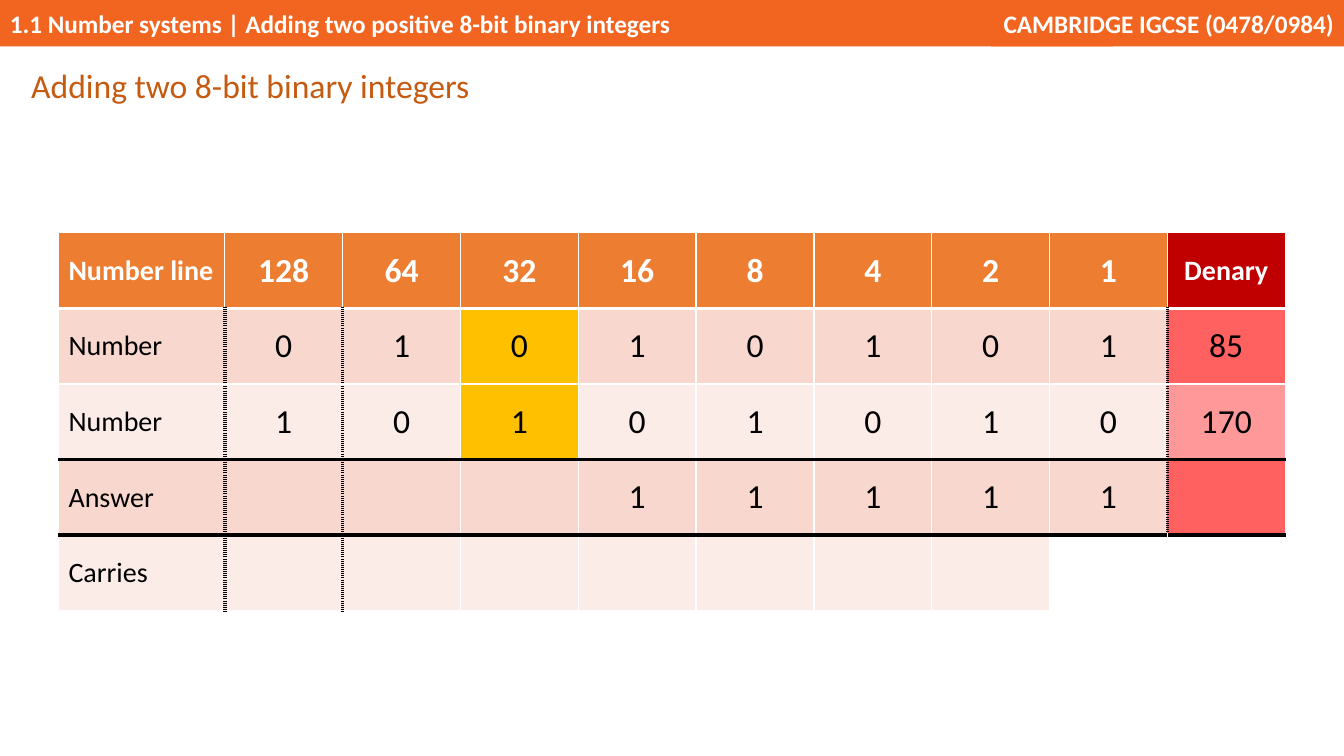
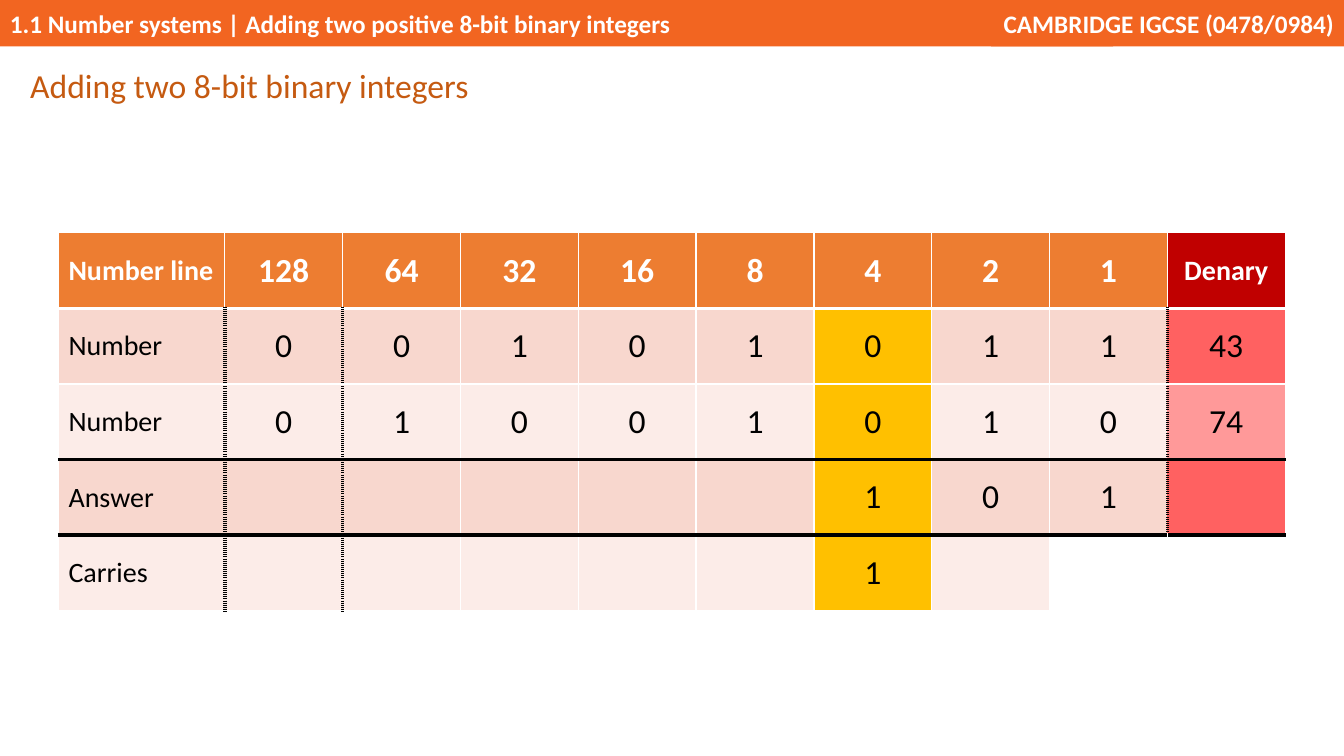
"""Build two slides that add 8-bit binary integers column by column."""
from dataclasses import dataclass

from lxml import etree
from pptx import Presentation
from pptx.dml.color import RGBColor
from pptx.enum.shapes import MSO_SHAPE
from pptx.enum.text import MSO_ANCHOR, MSO_AUTO_SIZE, PP_ALIGN
from pptx.oxml.ns import qn
from pptx.util import Inches, Pt

RECTANGLE = MSO_SHAPE.RECTANGLE
TOP, MIDDLE = MSO_ANCHOR.TOP, MSO_ANCHOR.MIDDLE
NO_AUTO_SIZE = MSO_AUTO_SIZE.NONE
LEFT, CENTER, RIGHT = PP_ALIGN.LEFT, PP_ALIGN.CENTER, PP_ALIGN.RIGHT

WHITE = RGBColor(0xFF, 0xFF, 0xFF)
BLACK = RGBColor(0x00, 0x00, 0x00)
BAND_ORANGE = RGBColor(0xF2, 0x65, 0x21)
TITLE_BROWN = RGBColor(0xC5, 0x5A, 0x11)
HEADER_ORANGE = RGBColor(0xED, 0x7D, 0x31)
HIGHLIGHT = RGBColor(0xFF, 0xC0, 0x00)
ROW_FILLS = (HEADER_ORANGE,) + (RGBColor(0xF8, 0xD7, 0xCE), RGBColor(0xFC, 0xEC, 0xE8)) * 2
DENARY_RED = RGBColor(0xFF, 0x61, 0x61)
DENARY_FILLS = (RGBColor(0xC0, 0x00, 0x00), DENARY_RED, RGBColor(0xFF, 0x99, 0x99), DENARY_RED, WHITE)

FONT = "Calibri"
TITLE = "Adding two 8-bit binary integers"
PLACES = [2 ** power for power in range(7, -1, -1)]
UNITS_COLUMN = len(PLACES)
DENARY_COLUMN = UNITS_COLUMN + 1
COLUMN_COUNT = DENARY_COLUMN + 1
CARRIES_ROW = 4
TABLE_WIDTH, LABEL_WIDTH, ROW_HEIGHT = 12.17, 1.65, 0.75


@dataclass(frozen=True)
class Band:
    """One part of the strip across the top."""
    left: float
    width: float
    text: str
    alignment: PP_ALIGN


@dataclass(frozen=True)
class Addition:
    """One step of a binary addition."""
    first: str
    second: str
    answer: str
    active_place: int
    carry: str = ""
    title_left: float = 0.2

    def rows(self) -> list[list[str]]:
        """Return the table text, row by row."""
        carries = [self.carry if place == self.active_place else "" for place in PLACES]
        answer = [digit.strip() for digit in self.answer.rjust(len(PLACES))]
        return [
            ["Number line", *map(str, PLACES), "Denary"],
            ["Number", *self.first, str(int(self.first, 2))],
            ["Number", *self.second, str(int(self.second, 2))],
            ["Answer", *answer, ""],
            ["Carries", *carries, ""],
        ]


@dataclass(frozen=True)
class Edge:
    """The look of a cell border."""
    color: RGBColor
    width: float
    dash: str = "solid"


THIN = Edge(WHITE, 1)
THICK = Edge(WHITE, 3)
RULE = Edge(BLACK, 3)
DOTTED = Edge(BLACK, 3, "sysDot")
HORIZONTAL_EDGES = (THIN, THICK, THIN, RULE, RULE, THIN)

BANDS = (
    Band(0, 11.04, "1.1 Number systems | Adding two positive 8-bit binary integers", LEFT),
    Band(9.83, 3.5, "CAMBRIDGE IGCSE (0478/0984)", RIGHT),
)
ADDITIONS = (
    Addition("01010101", "10101010", "11111", active_place=32, title_left=0.21),
    Addition("00101011", "01001010", "101", active_place=4, carry="1"),
)


def write_text(text_frame, text: str, *, size: float, color: RGBColor,
               bold: bool = False, alignment: PP_ALIGN = LEFT):
    """Write one formatted paragraph and return it."""
    paragraph = text_frame.paragraphs[0]
    paragraph.alignment = alignment
    run = paragraph.add_run()
    run.text = text
    run.font.name = FONT
    run.font.size = Pt(size)
    run.font.bold = bold
    run.font.color.rgb = color
    return paragraph


def add_band(slide, band: Band) -> None:
    """Draw one part of the top strip."""
    shape = slide.shapes.add_shape(
        RECTANGLE, Inches(band.left), 0, Inches(band.width), Inches(0.46))
    shape.shadow.inherit = False
    shape.fill.solid()
    shape.fill.fore_color.rgb = BAND_ORANGE
    shape.line.fill.background()
    shape.text_frame.word_wrap = True
    shape.text_frame.vertical_anchor = MIDDLE
    write_text(shape.text_frame, band.text, size=18, color=WHITE, bold=True,
               alignment=band.alignment)


def set_title(slide, left: float) -> None:
    """Place and format the slide title."""
    title = slide.shapes.title
    title.left, title.top = Inches(left), Inches(0.57)
    title.width, title.height = Inches(4.8), Inches(0.51)
    text_frame = title.text_frame
    text_frame.word_wrap = True
    text_frame.auto_size = NO_AUTO_SIZE
    text_frame.vertical_anchor = TOP
    paragraph = write_text(text_frame, TITLE, size=24, color=TITLE_BROWN)
    paragraph.line_spacing = 1.07
    paragraph.space_after = Pt(8)


def vertical_edge(row: int, boundary: int) -> Edge:
    """Return the border at a column boundary of a row."""
    last_dotted_row = {1: CARRIES_ROW, 2: CARRIES_ROW, DENARY_COLUMN: CARRIES_ROW - 1}
    return DOTTED if 1 <= row <= last_dotted_row.get(boundary, 0) else THIN


def set_borders(cell, row: int, column: int) -> None:
    """Draw the four borders of a cell."""
    properties = cell._tc.get_or_add_tcPr()
    edges = {
        "a:lnL": vertical_edge(row, column),
        "a:lnR": vertical_edge(row, column + 1),
        "a:lnT": HORIZONTAL_EDGES[row],
        "a:lnB": HORIZONTAL_EDGES[row + 1],
    }
    for tag, edge in edges.items():
        line = etree.SubElement(properties, qn(tag), w=str(Pt(edge.width)))
        fill = etree.SubElement(line, qn("a:solidFill"))
        etree.SubElement(fill, qn("a:srgbClr"), val=str(edge.color))
        etree.SubElement(line, qn("a:prstDash"), val=edge.dash)


def cell_fill(row: int, column: int, text: str, active_column: int) -> RGBColor:
    """Choose the fill of a cell."""
    if column == DENARY_COLUMN:
        return DENARY_FILLS[row]
    if row == CARRIES_ROW and column == UNITS_COLUMN:
        return WHITE
    if row > 0 and column == active_column and text:
        return HIGHLIGHT
    return ROW_FILLS[row]


def add_addition_table(slide, addition: Addition) -> None:
    """Draw the table of place values, numbers, answer and carries."""
    rows = addition.rows()
    table = slide.shapes.add_table(
        len(rows), COLUMN_COUNT, Inches(0.58), Inches(2.31),
        Inches(TABLE_WIDTH), Inches(ROW_HEIGHT * len(rows))).table
    table.horz_banding = False
    digit_width = (TABLE_WIDTH - LABEL_WIDTH) / (COLUMN_COUNT - 1)
    for index, column in enumerate(table.columns):
        column.width = Inches(digit_width if index else LABEL_WIDTH)
    active_column = PLACES.index(addition.active_place) + 1
    for row, texts in enumerate(rows):
        table.rows[row].height = Inches(ROW_HEIGHT)
        for column, text in enumerate(texts):
            cell = table.cell(row, column)
            cell.vertical_anchor = MIDDLE
            set_borders(cell, row, column)
            cell.fill.solid()
            cell.fill.fore_color.rgb = cell_fill(row, column, text, active_column)
            if text:
                write_text(cell.text_frame, text,
                           size=24 if text.isdigit() else 20,
                           color=BLACK if row else WHITE, bold=row == 0,
                           alignment=CENTER if column else LEFT)


def main() -> None:
    """Build and save the presentation."""
    presentation = Presentation()
    presentation.slide_width = Inches(13.33)
    presentation.slide_height = Inches(7.5)
    title_only = presentation.slide_layouts.get_by_name("Title Only")
    for addition in ADDITIONS:
        slide = presentation.slides.add_slide(title_only)
        for band in BANDS:
            add_band(slide, band)
        add_addition_table(slide, addition)
        set_title(slide, addition.title_left)
    presentation.save("out.pptx")


if __name__ == "__main__":
    main()
